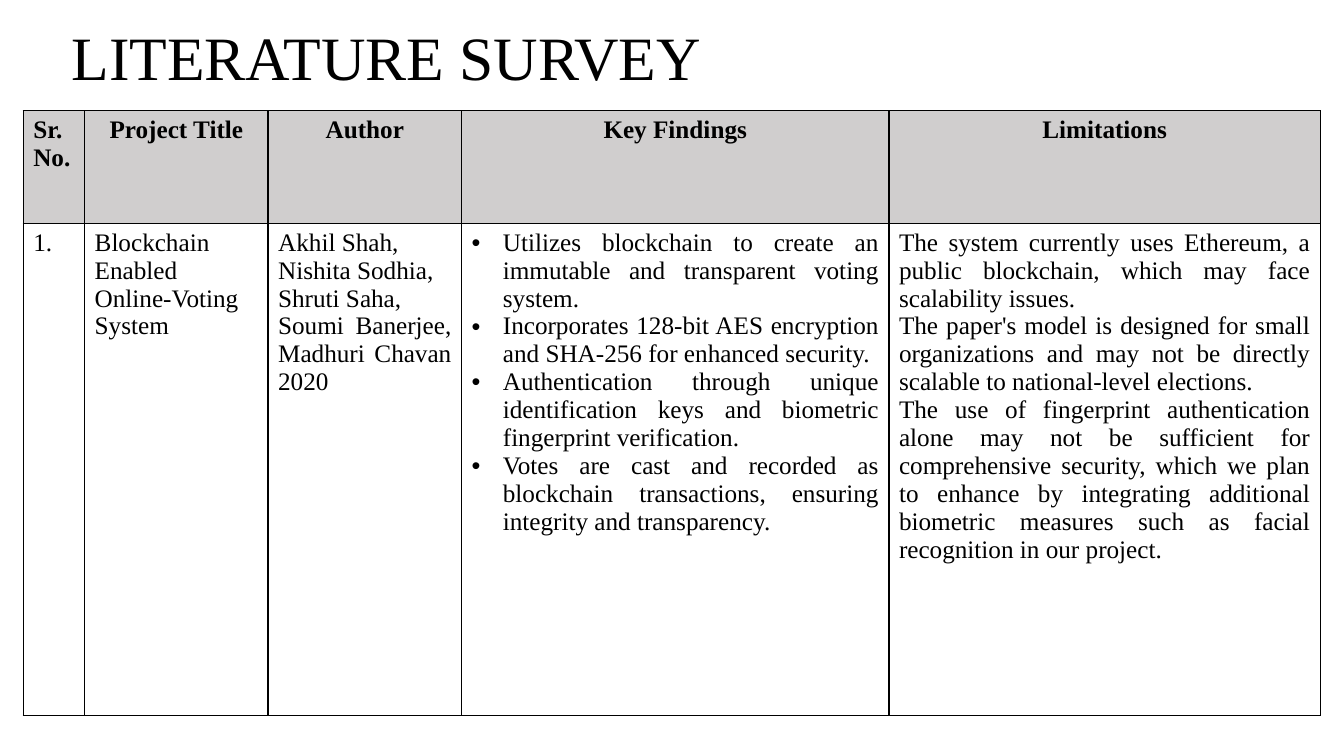
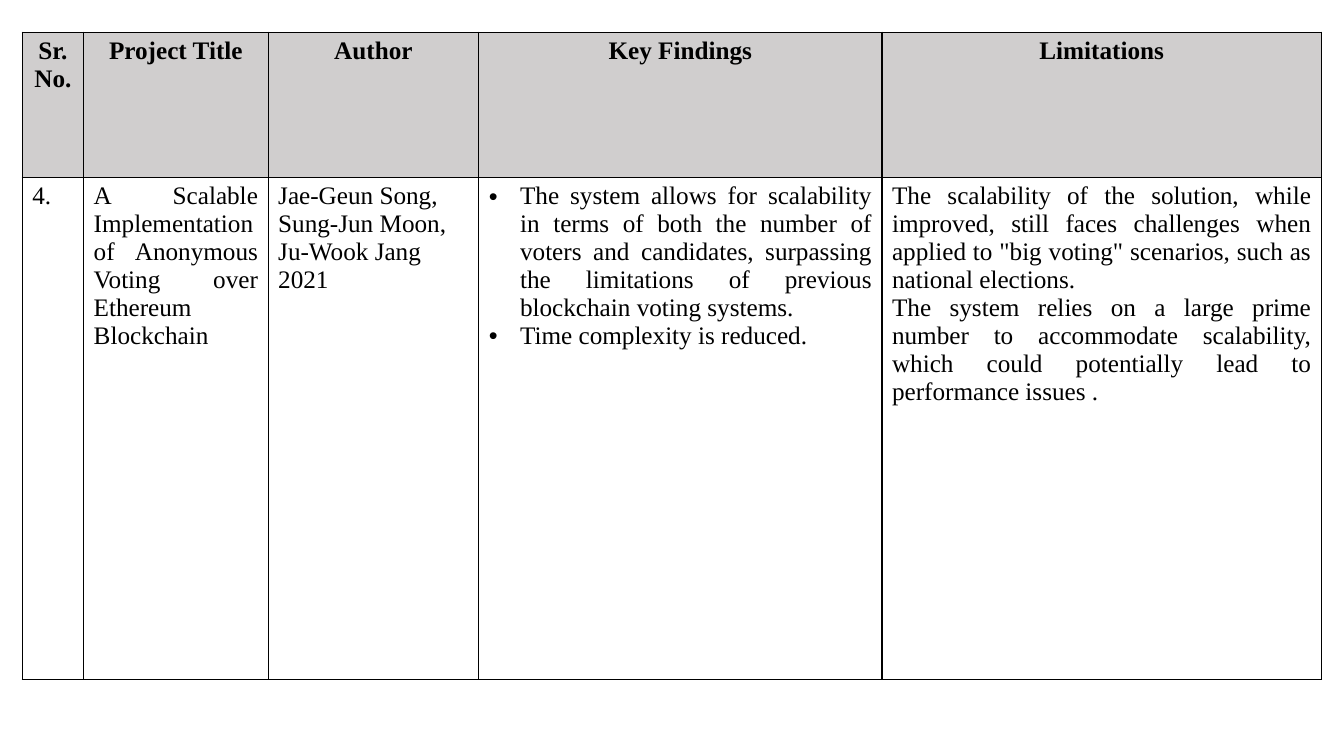
import pptx
import pptx.dml.color
import pptx.enum.text
import pptx.oxml
import pptx.oxml.ns
import pptx.util
from lxml import etree

BLACK = pptx.dml.color.RGBColor(0x00, 0x00, 0x00)
WHITE = pptx.dml.color.RGBColor(0xFF, 0xFF, 0xFF)
HEADER_GREY = pptx.dml.color.RGBColor(0xD0, 0xCE, 0xCE)

FONT = "Times New Roman"
ALIGN = pptx.enum.text.PP_ALIGN
TITLE_ONLY, BLANK = 5, 6
GRID_STEP = 0.1  # inches per grid column or row
GRID_COLUMNS, GRID_ROWS = 133.33, 75
BULLET_INDENT = 3.1

HEADINGS = ["Sr. No.", "Project Title", "Author", "Key Findings", "Limitations"]
FINDINGS = HEADINGS.index("Key Findings")


def grid(steps):
    return pptx.util.Inches(steps * GRID_STEP)


def apply(target, values):
    for name, value in values.items():
        setattr(target, name, value)


class SurveyDeck:
    """Holds the deck's style and the slide being filled."""

    title_font = {"name": FONT, "size": pptx.util.Pt(44), "bold": False}
    header_font = {"name": FONT, "size": pptx.util.Pt(18), "bold": True}
    body_font = {**header_font, "bold": False}
    border_width = pptx.util.Pt(1)

    def __init__(self):
        self.deck = pptx.Presentation()
        self.deck.slide_width = grid(GRID_COLUMNS)
        self.deck.slide_height = grid(GRID_ROWS)
        self.slide = None

    def add_slide(self, title=None):
        layout = self.deck.slide_layouts[BLANK if title is None else TITLE_ONLY]
        self.slide = self.deck.slides.add_slide(layout)
        if title is not None:
            self.format_title(title)

    def format_title(self, text):
        heading = self.slide.shapes.title
        apply(heading, {"left": grid(6.1), "top": grid(-1.2),
                        "width": grid(115), "height": grid(14.5)})
        apply(heading.text_frame, {
            "word_wrap": True,
            "vertical_anchor": pptx.enum.text.MSO_ANCHOR.MIDDLE})
        line = heading.text_frame.paragraphs[0]
        apply(line, {"alignment": ALIGN.LEFT, "line_spacing": 0.9})
        self.add_text(line, text, self.title_font)

    def add_text(self, paragraph, text, font):
        run = paragraph.add_run()
        run.text = text
        apply(run.font, font)
        run.font.color.rgb = BLACK

    def add_bullet(self, paragraph):
        properties = paragraph._p.get_or_add_pPr()
        indent = grid(BULLET_INDENT)
        properties.set("marL", str(indent))
        properties.set("indent", str(-indent))
        for tag, key, value in (("a:buFont", "typeface", "Arial"),
                                ("a:buChar", "char", "•")):
            etree.SubElement(properties, pptx.oxml.ns.qn(tag)).set(key, value)

    def add_borders(self, cell):
        properties = cell._tc.get_or_add_tcPr()
        for side in "LRTB":
            properties.append(pptx.oxml.parse_xml(
                f'<a:ln{side} {pptx.oxml.ns.nsdecls("a")} w="{self.border_width}">'
                f'<a:solidFill><a:srgbClr val="{BLACK}"/></a:solidFill>'
                f'</a:ln{side}>'))

    def fill_cell(self, cell, lines, font, color, alignment, bulleted=False):
        self.add_borders(cell)
        cell.fill.solid()
        cell.fill.fore_color.rgb = color
        for index, text in enumerate(lines):
            frame = cell.text_frame
            paragraph = frame.paragraphs[0] if index == 0 else frame.add_paragraph()
            paragraph.alignment = alignment
            if bulleted:
                self.add_bullet(paragraph)
            self.add_text(paragraph, text, font)

    def add_survey(self, left, top, widths, heights, entry,
                   number_alignment=ALIGN.CENTER):
        """Draw the heading row and one paper; lengths are in grid steps."""
        table = self.slide.shapes.add_table(
            len(heights), len(widths), grid(left), grid(top),
            grid(sum(widths)), grid(sum(heights))).table
        apply(table, {"first_row": False, "horz_banding": False})
        for column, width in zip(table.columns, widths):
            column.width = grid(width)
        for row, height in zip(table.rows, heights):
            row.height = grid(height)
        for index, (heading, lines) in enumerate(zip(HEADINGS, entry)):
            self.fill_cell(table.cell(0, index), [heading], self.header_font,
                           HEADER_GREY,
                           ALIGN.CENTER if index else number_alignment)
            self.fill_cell(table.cell(1, index), lines, self.body_font, WHITE,
                           ALIGN.JUSTIFY, bulleted=index == FINDINGS)


ONLINE_VOTING = [
    ["1."],
    ["Blockchain Enabled Online-Voting System"],
    ["Akhil Shah, ", "Nishita Sodhia, ", "Shruti Saha, ", "Soumi Banerjee, ",
     "Madhuri Chavan ", "2020"],
    ["Utilizes blockchain to create an immutable and transparent voting system.",
     "Incorporates 128-bit AES encryption and SHA-256 for enhanced security.",
     "Authentication through unique identification keys and biometric "
     "fingerprint verification.",
     "Votes are cast and recorded as blockchain transactions, ensuring "
     "integrity and transparency."],
    ["The system currently uses Ethereum, a public blockchain, which may face "
     "scalability issues.",
     "The paper's model is designed for small organizations and may not be "
     "directly scalable to national-level elections.",
     "The use of fingerprint authentication alone may not be sufficient for "
     "comprehensive security, which we plan to enhance by integrating "
     "additional biometric measures such as facial recognition in our project."],
]

ANONYMOUS_VOTING = [
    ["4."],
    ["A Scalable Implementation of Anonymous Voting over Ethereum Blockchain"],
    ["Jae-Geun Song, ", "Sung-Jun Moon, ", "Ju-Wook Jang", "2021"],
    ["The system allows for scalability in terms of both the number of voters "
     "and candidates, surpassing the limitations of previous blockchain voting "
     "systems.",
     "Time complexity is reduced."],
    ["The scalability of the solution, while improved, still faces challenges "
     "when applied to \"big voting\" scenarios, such as national elections.",
     "The system relies on a large prime number to accommodate scalability, "
     "which could potentially lead to performance issues ."],
]


def main():
    survey = SurveyDeck()

    survey.add_slide("LITERATURE SURVEY")
    survey.add_survey(2.3, 11, [6.1, 18.2, 19.2, 42.4, 42.8], [11.2, 48.8],
                      ONLINE_VOTING, number_alignment=ALIGN.JUSTIFY)

    survey.add_slide()
    survey.add_survey(2.2, 3.2, [6.1, 18.3, 20.9, 40, 43.6], [14.4, 49.8],
                      ANONYMOUS_VOTING)

    survey.deck.save("out.pptx")


if __name__ == "__main__":
    main()
